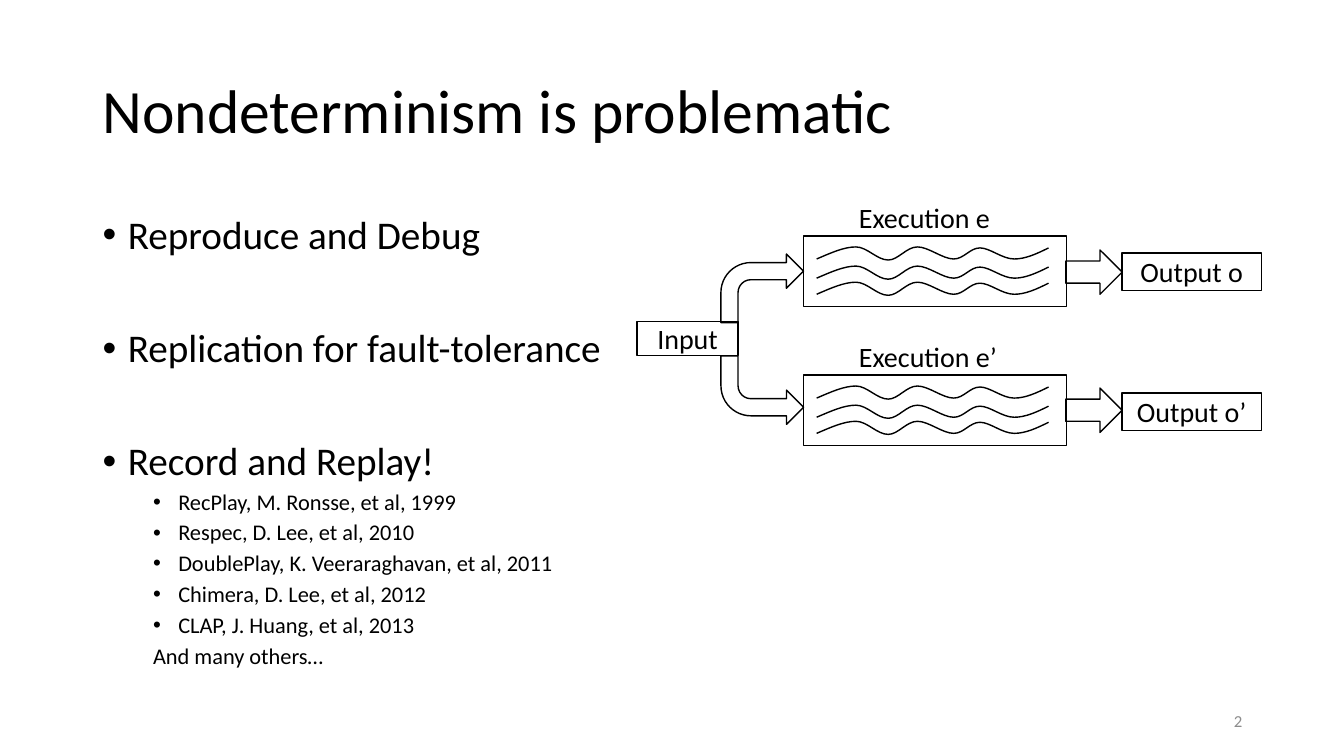
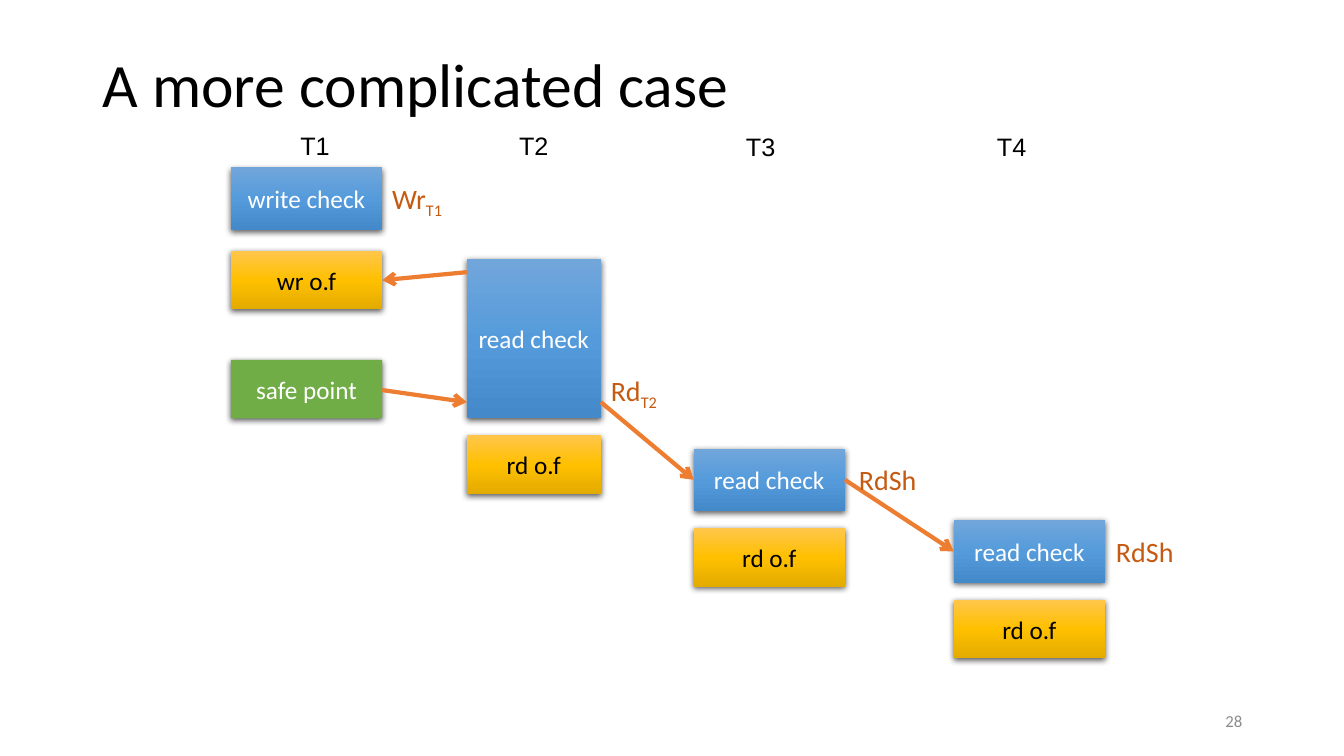
"""Build two slides on nondeterminism and on a thread interleaving."""
from pptx import Presentation
from pptx.dml.color import RGBColor
from pptx.enum.shapes import MSO_CONNECTOR, MSO_SHAPE
from pptx.enum.text import MSO_ANCHOR, PP_ALIGN
from pptx.oxml import parse_xml
from pptx.oxml.ns import nsdecls, qn
from pptx.util import Inches, Pt

BLACK = RGBColor(0x00, 0x00, 0x00)
WHITE = RGBColor(0xFF, 0xFF, 0xFF)
GREY = RGBColor(0x8C, 0x8C, 0x8C)
ORANGE = RGBColor(0xED, 0x7D, 0x31)
RUST = RGBColor(0xC5, 0x5A, 0x11)
BLUES = [RGBColor.from_string(c) for c in ("71A6DB", "559BDB", "448ACA")]
GOLDS = [RGBColor.from_string(c) for c in ("FFC64B", "FFC000", "E3AB00")]
GREENS = [RGBColor(0x70, 0xAD, 0x47)]


def write(tf, text, size=20, color=BLACK, font="Calibri", align=PP_ALIGN.LEFT,
          sub="", spacing=None, before=0, margin=0, bullet=False):
    """Add one paragraph, using the first one while it is empty."""
    p = tf.paragraphs[0] if not tf.text else tf.add_paragraph()
    p.alignment, p.space_before = align, Pt(before)
    if spacing:
        p.line_spacing = spacing
    pPr = p._p.get_or_add_pPr()
    pPr.set("marL", str(Inches(margin)))
    if bullet:
        pPr.set("indent", str(Inches(-0.25)))
        pPr.append(parse_xml(f'<a:buFont {nsdecls("a")} typeface="Arial"/>'))
        pPr.append(parse_xml(f'<a:buChar {nsdecls("a")} char="•"/>'))
    for part in filter(None, (text, sub)):
        r = p.add_run()
        r.text = part
        r.font.size, r.font.name, r.font.color.rgb = Pt(size), font, color
    if sub:
        r._r.get_or_add_rPr().set("baseline", "-25000")


def place(s, x, y, w, h, preset=None, middle=False, wrap=True):
    """Add a text box, or an outlined shape when a preset is given."""
    at = [Inches(v) for v in (x, y, w, h)]
    if preset is None:
        sp = s.shapes.add_textbox(*at)
    else:
        sp = s.shapes.add_shape(preset, *at)
        sp.shadow.inherit = False
        sp.fill.background()
        sp.line.color.rgb, sp.line.width = BLACK, Pt(1)
    sp.text_frame.word_wrap = wrap
    sp.text_frame.vertical_anchor = MSO_ANCHOR.MIDDLE if middle else MSO_ANCHOR.TOP
    return sp


prs = Presentation()
prs.slide_width, prs.slide_height = Inches(13.33), Inches(7.5)
slides = []
for title, height, number in (("Nondeterminism is problematic", 1.45, "2"),
                              ("A more complicated case", 0.93, "28")):
    s = prs.slides.add_slide(prs.slide_layouts[6])
    tf = place(s, 0.92, 0.4, 11.5, height, middle=True).text_frame
    write(tf, title, size=44, spacing=0.9)
    tf = place(s, 9.42, 6.95, 3, 0.4, middle=True).text_frame
    write(tf, number, size=12, color=GREY, align=PP_ALIGN.RIGHT)
    slides.append(s)
problem, case = slides

tf = place(problem, 0.92, 2.09, 11.5, 4.66).text_frame
for i, text in enumerate(("Reproduce and Debug", "Replication for fault-tolerance",
                          "Record and Replay!")):
    write(tf, text, size=28, spacing=0.9, before=50.5 if i else 10, margin=0.25, bullet=True)
for text in ("RecPlay, M. Ronsse, et al, 1999", "Respec, D. Lee, et al, 2010",
             "DoublePlay, K. Veeraraghavan, et al, 2011", "Chimera, D. Lee, et al, 2012",
             "CLAP, J. Huang, et al, 2013"):
    write(tf, text, size=16, spacing=0.9, before=4.8, margin=0.75, bullet=True)
write(tf, "And many others…", size=16, spacing=0.9, before=4.8, margin=0.5)

WAVE = [(0, 0.12), (0.14, 0.06), (0.27, 0), (0.39, 0), (0.5, 0), (0.6, 0.13),
        (0.71, 0.13), (0.81, 0.13), (0.89, 0), (1, 0), (1.11, 0), (1.25, 0.12),
        (1.36, 0.12), (1.46, 0.12), (1.52, 0.01), (1.62, 0.01), (1.72, 0.01),
        (1.84, 0.12), (1.96, 0.12), (2.07, 0.12), (2.18, 0.07), (2.3, 0.01)]

for top, mark, bend_y, arrow_y, out_y in ((2.34, "", 2.52, 2.48, 2.51),
                                         (3.72, "’", 3.53, 3.85, 3.9)):
    for offset in (0.11, 0.3, 0.46):
        points = [(Inches(8.1 + x), Inches(top + offset + y)) for x, y in WAVE]
        wave = problem.shapes.build_freeform(*points[0])
        wave.add_line_segments(points[1:], close=False)
        sp = wave.convert_to_shape()
        segments = list(sp._element.iter(qn("a:lnTo")))
        for i in range(0, len(segments), 3):
            cubic = parse_xml(f'<a:cubicBezTo {nsdecls("a")}/>')
            segments[i].addprevious(cubic)
            for segment in segments[i:i + 3]:
                cubic.append(segment[0])
                segment.getparent().remove(segment)
        sp.shadow.inherit = False
        sp.fill.background()
        sp.line.color.rgb, sp.line.width = BLACK, Pt(1)
    place(problem, 7.97, top, 2.61, 0.7, MSO_SHAPE.RECTANGLE)
    write(place(problem, 8.42, top - 0.4, 1.75, 0.44).text_frame, "Execution e" + mark)
    bend = place(problem, 7.15, bend_y, 0.82, 0.68, MSO_SHAPE.BENT_ARROW)
    if mark:
        bend.rotation = 180
        bend._element.spPr.find(qn("a:xfrm")).set("flipH", "1")
    place(problem, 10.57, arrow_y, 0.56, 0.44, MSO_SHAPE.RIGHT_ARROW)
    sp = place(problem, 11.13, out_y, 1.38, 0.37, MSO_SHAPE.RECTANGLE, middle=True)
    write(sp.text_frame, "Output o" + mark, align=PP_ALIGN.CENTER)
sp = place(problem, 6.32, 3.19, 1, 0.34, MSO_SHAPE.RECTANGLE, middle=True)
write(sp.text_frame, "Input", align=PP_ALIGN.CENTER)

for i, (x, y) in enumerate(((2.88, 1.24), (5.05, 1.24), (7.3, 1.25), (9.79, 1.25)), 1):
    write(place(case, x, y, 0.5, 0.4, wrap=False).text_frame, f"T{i}", size=18, font="Arial")

for text, x, y, w, h, colors in (
        ("write check", 2.29, 1.66, 1.5, 0.62, BLUES),
        ("wr o.f", 2.29, 2.49, 1.5, 0.58, GOLDS),
        ("safe point", 2.29, 3.57, 1.5, 0.58, GREENS),
        ("read check", 4.63, 2.57, 1.33, 1.58, BLUES),
        ("rd o.f", 4.63, 4.32, 1.33, 0.58, GOLDS),
        ("read check", 6.88, 4.45, 1.5, 0.62, BLUES),
        ("rd o.f", 6.88, 5.24, 1.5, 0.58, GOLDS),
        ("read check", 9.46, 5.16, 1.5, 0.62, BLUES),
        ("rd o.f", 9.46, 5.95, 1.5, 0.58, GOLDS)):
    sp = place(case, x, y, w, h, MSO_SHAPE.RECTANGLE, middle=True)
    sp.line.fill.background()
    spPr = sp._element.spPr
    if colors is GREENS:
        sp.fill.solid()
        sp.fill.fore_color.rgb = colors[0]
    else:
        stops = "".join(f'<a:gs pos="{pos}"><a:srgbClr val="{c}"/></a:gs>'
                        for pos, c in zip((0, 50000, 100000), colors))
        spPr.replace(spPr.find(qn("a:noFill")), parse_xml(
            f'<a:gradFill {nsdecls("a")} rotWithShape="1"><a:gsLst>{stops}</a:gsLst>'
            '<a:lin ang="5400000" scaled="0"/></a:gradFill>'))
    spPr.find(qn("a:effectLst")).append(parse_xml(
        f'<a:outerShdw {nsdecls("a")} blurRad="{Pt(4.5)}" dist="{Pt(1.5)}" dir="5400000" '
        'algn="ctr" rotWithShape="0"><a:srgbClr val="000000"><a:alpha val="63000"/>'
        '</a:srgbClr></a:outerShdw>'))
    write(sp.text_frame, text, size=18, color=BLACK if colors is GOLDS else WHITE,
          align=PP_ALIGN.CENTER)

for ends in ((5.96, 3.99, 6.88, 4.76), (4.63, 2.7, 3.79, 2.78),
             (3.79, 3.87, 4.63, 3.99), (8.38, 4.76, 9.46, 5.47)):
    arrow = case.shapes.add_connector(MSO_CONNECTOR.STRAIGHT, *[Inches(v) for v in ends])
    arrow.line.color.rgb, arrow.line.width = ORANGE, Pt(3)
    arrow.line._get_or_add_ln().append(parse_xml(f'<a:tailEnd {nsdecls("a")} type="arrow"/>'))
    arrow._element.spPr.append(parse_xml(f'<a:effectLst {nsdecls("a")}/>'))

for state, sub, x, y in (("Wr", "T1", 3.79, 1.75), ("Rd", "T2", 5.96, 3.66),
                         ("RdSh", "", 8.42, 4.54), ("RdSh", "", 10.97, 5.25)):
    write(place(case, x, y, 1, 0.44).text_frame, state, sub=sub, color=RUST)

prs.save("out.pptx")
